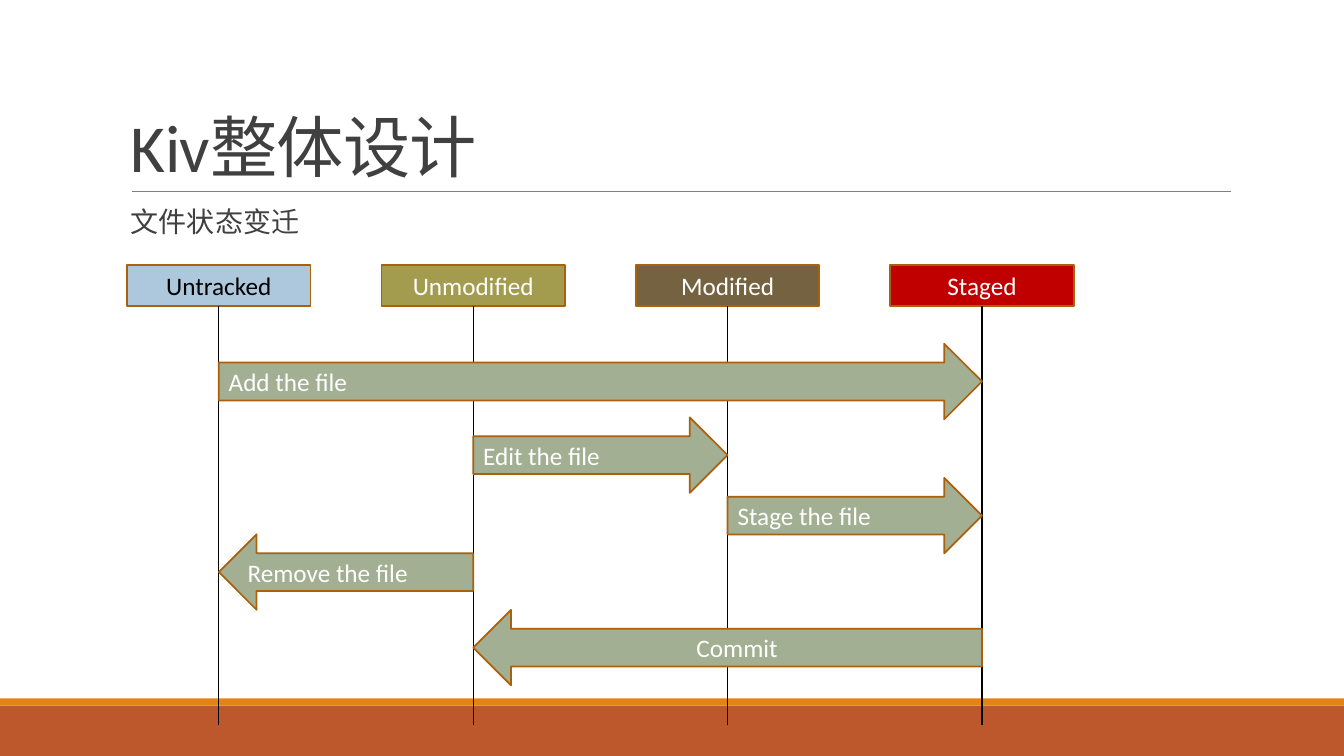
from pptx import Presentation
from pptx.dml.color import RGBColor
from pptx.enum.shapes import MSO_CONNECTOR, MSO_SHAPE
from pptx.enum.text import MSO_ANCHOR, PP_ALIGN
from pptx.oxml.ns import qn
from pptx.util import Inches, Pt
from lxml import etree

COLORS = {
    "text": "404040", "white": "FFFFFF", "black": "000000", "rule": "808080",
    "footer": "BD582C", "footer_edge": "E48312", "outline": "A9610D",
    "arrow": "A2AF92", "untracked": "ADC8DD", "unmodified": "A39B4E",
    "modified": "746241", "staged": "C00000",
}
FONT = "Calibri"
BOX_LEFT, BOX_TOP, BOX_WIDTH, BOX_HEIGHT = 1.26, 2.63, 1.82, 0.41
LANE_PITCH = 7.57 / 3
LANE_BOTTOM = 7.19
ARROW_HEIGHT = 0.75

STATES = [
    ("Untracked", "untracked", "black"),
    ("Unmodified", "unmodified", "white"),
    ("Modified", "modified", "white"),
    ("Staged", "staged", "white"),
]
# Label, starting lane, ending lane, top, alignment
TRANSITIONS = [
    ("Add the file", 0, 3, 3.41, PP_ALIGN.LEFT),
    ("Edit the file", 1, 2, 4.14, PP_ALIGN.LEFT),
    ("Stage the file", 2, 3, 4.74, PP_ALIGN.LEFT),
    ("Remove the file", 1, 0, 5.3, PP_ALIGN.LEFT),
    ("Commit", 3, 1, 6.05, PP_ALIGN.CENTER),
]


def rgb(name):
    return RGBColor.from_string(COLORS[name])


def lane_center(lane):
    return BOX_LEFT + BOX_WIDTH / 2 + lane * LANE_PITCH


def write_text(shape, text, size, color, align=PP_ALIGN.LEFT):
    """Fill the shape with one formatted paragraph and return that paragraph."""
    frame = shape.text_frame
    frame.word_wrap = True
    frame.text = text
    para = frame.paragraphs[0]
    para.alignment = align
    font = para.runs[0].font
    font.name, font.size = FONT, Pt(size)
    font.color.rgb = rgb(color)
    return para


def add_block(page, kind, left, top, width, height, fill, outline=None):
    block = page.shapes.add_shape(
        kind, Inches(left), Inches(top), Inches(width), Inches(height))
    block.shadow.inherit = False
    block.fill.solid()
    block.fill.fore_color.rgb = rgb(fill)
    if outline:
        block.line.color.rgb = rgb(outline)
        block.line.width = Pt(1.25)
    else:
        block.line.fill.background()
    return block


def add_line(page, start, end, color, width):
    line = page.shapes.add_connector(
        MSO_CONNECTOR.STRAIGHT, *(Inches(value) for value in start + end))
    line.line.color.rgb = rgb(color)
    line.line.width = Pt(width)
    etree.SubElement(line._element.spPr, qn("a:effectLst"))
    return line


def add_background(page):
    add_block(page, MSO_SHAPE.RECTANGLE, 0, 7, 13.33, 0.5, "footer")
    add_block(page, MSO_SHAPE.RECTANGLE, 0, 6.93, 13.33, 0.07, "footer_edge")
    add_line(page, (1.31, 1.9), (12.21, 1.9), "rule", 0.5)


def add_headings(page):
    title = page.shapes.add_textbox(
        Inches(1.2), Inches(0.31), Inches(11), Inches(1.59))
    title.text_frame.vertical_anchor = MSO_ANCHOR.BOTTOM
    para = write_text(title, "Kiv整体设计", 48, "text")
    para.line_spacing = 0.85
    para.runs[0].font._element.set("spc", "-50")

    subtitle = page.shapes.add_textbox(
        Inches(1.2), Inches(2.02), Inches(11), Inches(0.5))
    subtitle.text_frame.margin_right = 0
    para = write_text(subtitle, "文件状态变迁", 20, "text")
    para.line_spacing = 0.9
    para.space_before, para.space_after = Pt(12), Pt(2)


def add_state(page, lane, label, fill, color):
    """Draw a state box and the lifeline below it."""
    box = add_block(page, MSO_SHAPE.RECTANGLE, BOX_LEFT + lane * LANE_PITCH,
                    BOX_TOP, BOX_WIDTH, BOX_HEIGHT, fill, "outline")
    box.text_frame.vertical_anchor = MSO_ANCHOR.MIDDLE
    write_text(box, label, 18, color, PP_ALIGN.CENTER)
    center = lane_center(lane)
    lifeline = add_line(page, (center, BOX_TOP + BOX_HEIGHT),
                        (center, LANE_BOTTOM), "black", 1)
    lifeline.begin_connect(box, 2)


def add_transition(page, label, start, end, top, align):
    kind = MSO_SHAPE.RIGHT_ARROW if end > start else MSO_SHAPE.LEFT_ARROW
    arrow = add_block(page, kind, lane_center(min(start, end)), top,
                      abs(end - start) * LANE_PITCH, ARROW_HEIGHT,
                      "arrow", "outline")
    arrow.text_frame.vertical_anchor = MSO_ANCHOR.MIDDLE
    write_text(arrow, label, 18, "white", align)


def main():
    deck = Presentation()
    deck.slide_width, deck.slide_height = Inches(13.33), Inches(7.5)
    page = deck.slides.add_slide(deck.slide_layouts[6])
    add_background(page)
    add_headings(page)
    for lane, state in enumerate(STATES):
        add_state(page, lane, *state)
    for transition in TRANSITIONS:
        add_transition(page, *transition)
    deck.save("out.pptx")


if __name__ == "__main__":
    main()
